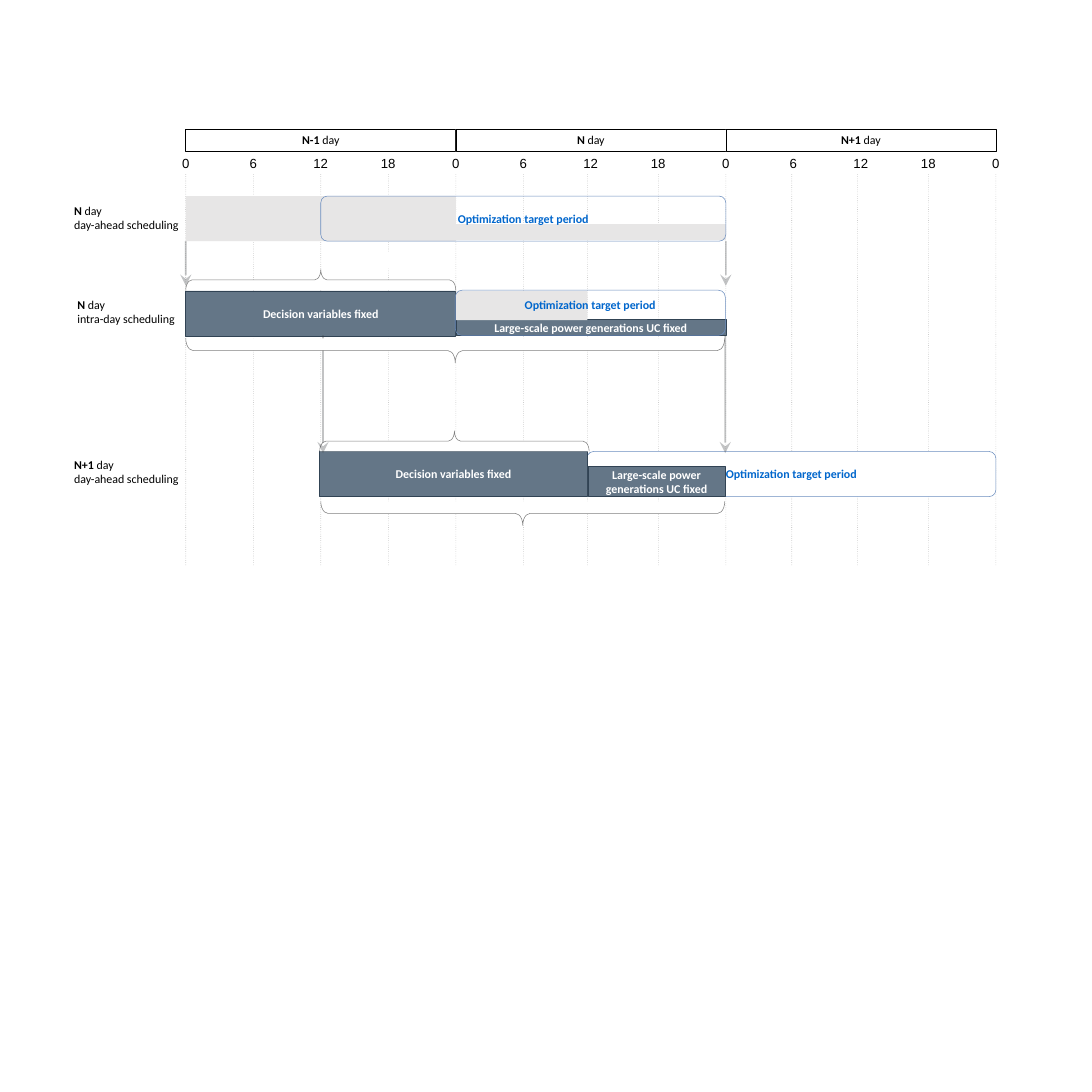
from collections import namedtuple

from lxml.etree import SubElement
from pptx import Presentation
from pptx.dml.color import RGBColor
from pptx.enum.shapes import MSO_CONNECTOR, MSO_SHAPE
from pptx.enum.text import MSO_ANCHOR, PP_ALIGN
from pptx.oxml.ns import qn
from pptx.util import Cm, Pt

Box = namedtuple("Box", "left top width height")

BLACK, WHITE, GREY = "000000", "FFFFFF", "E7E6E6"
SLATE, SLATE_EDGE = "647687", "314354"
BLUE_EDGE, BLUE_TEXT, ARROW = "6C8EBF", "0066CC", "36393D"
TARGET = "Optimization target period"
FIXED = "Decision variables fixed"
UNITS_FIXED = "Large-scale power generations UC fixed"
LABEL_LEFT = 2.0
HOURS = 72
# A few hour lines stand slightly left of the even scale
LINE_SHIFT = {36: -0.11, 54: -0.05, 60: -0.1}


def color(value):
    return RGBColor.from_string(value)


def hour_x(box, hour):
    return box.left + box.width * hour / HOURS


def hour_box(box, start, end, top, height):
    left = hour_x(box, start)
    return Box(left, box.top + top, hour_x(box, end) - left, height)


def lengths(box):
    return [Cm(value) for value in box]


def style_line(shape, line_color, width=0.48, opacity=100):
    shape.line.color.rgb = color(line_color)
    shape.line.width = Pt(width)
    line = shape._element.spPr.find(qn("a:ln"))
    if opacity < 100:
        SubElement(line.find(".//" + qn("a:srgbClr")), qn("a:alpha"),
                   val=str(opacity * 1000))
    return line


def add_run(paragraph, text, text_color, bold=False, font="Calibri", size=10.5):
    run = paragraph.add_run()
    run.text = text
    run.font.name = font
    run.font.size = Pt(size)
    run.font.bold = bold
    run.font.color.rgb = color(text_color)


def add_block(slide, box, fill=None, edge=None, kind=MSO_SHAPE.RECTANGLE):
    shape = slide.shapes.add_shape(kind, *lengths(box))
    shape.shadow.inherit = False
    if fill:
        shape.fill.solid()
        shape.fill.fore_color.rgb = color(fill)
    else:
        shape.fill.background()
    if edge:
        style_line(shape, edge)
    else:
        shape.line.fill.background()
    return shape


def center_text(shape, runs, text_color, bottom=0):
    frame = shape.text_frame
    frame.word_wrap = True
    frame.vertical_anchor = MSO_ANCHOR.MIDDLE
    frame.margin_top = 0
    frame.margin_bottom = Cm(bottom)
    paragraph = frame.paragraphs[0]
    paragraph.alignment = PP_ALIGN.CENTER
    for text, bold in runs:
        add_run(paragraph, text, text_color, bold)


def add_fixed_bar(slide, box, text):
    center_text(add_block(slide, box, SLATE, SLATE_EDGE), [(text, True)], WHITE)


def add_target(slide, box, fill=None, bottom=0):
    shape = add_block(slide, box, fill, BLUE_EDGE, MSO_SHAPE.ROUNDED_RECTANGLE)
    shape.adjustments[0] = 0.15
    center_text(shape, [(TARGET, True)], BLUE_TEXT, bottom)


def add_brace(slide, box, rotation):
    # A left brace turned on its side so that it spans the box
    left = box.left + (box.width - box.height) / 2
    top = box.top + (box.height - box.width) / 2
    upright = Box(left, top, box.height, box.width)
    brace = add_block(slide, upright, WHITE, BLACK, MSO_SHAPE.LEFT_BRACE)
    style_line(brace, BLACK, opacity=50)
    brace.adjustments[0] = 0.3
    brace.rotation = rotation


def add_vertical(slide, x, top, bottom):
    connector = slide.shapes.add_connector(
        MSO_CONNECTOR.STRAIGHT, Cm(x), Cm(top), Cm(x), Cm(bottom))
    SubElement(connector._element.spPr, qn("a:effectLst"))
    return connector


def add_arrow(slide, x, top, bottom):
    arrow = add_vertical(slide, x, top, bottom)
    line = style_line(arrow, ARROW, 1.45, 30)
    SubElement(line, qn("a:tailEnd"), type="stealth", w="lg", len="lg")


def add_hour_line(slide, x, top, bottom):
    line = style_line(add_vertical(slide, x, top, bottom), BLACK, opacity=30)
    dash = SubElement(line, qn("a:custDash"))
    SubElement(dash, qn("a:ds"), d="100000", sp="300000")


def add_hour_label(slide, x, top, text):
    width = 0.81 if len(text) == 1 else 1.04
    label = add_block(slide, Box(x - width / 2, top, width, 0.78), WHITE)
    frame = label.text_frame
    frame.word_wrap = False
    frame.vertical_anchor = MSO_ANCHOR.TOP
    frame.margin_left = frame.margin_right = Cm(0.3)
    frame.margin_top = frame.margin_bottom = Cm(0.15)
    frame.paragraphs[0].alignment = PP_ALIGN.CENTER
    add_run(frame.paragraphs[0], text, BLACK, font="Arial", size=11.6)


def add_row_label(slide, box, day, schedule):
    label = slide.shapes.add_textbox(*lengths(box))
    frame = label.text_frame
    frame.word_wrap = True
    frame.margin_left = frame.margin_right = Cm(0.3)
    frame.margin_top = frame.margin_bottom = Cm(0.15)
    add_run(frame.paragraphs[0], day + " ", BLACK, True)
    add_run(frame.paragraphs[0], "day", BLACK)
    add_run(frame.add_paragraph(), schedule, BLACK)
    for paragraph in frame.paragraphs:
        paragraph.alignment = PP_ALIGN.JUSTIFY


def add_timeline(slide, box):
    # Hour labels, then dotted lines
    hours = range(0, HOURS + 1, 6)
    for hour in hours:
        add_hour_label(slide, hour_x(box, hour), box.top + 0.66, str(hour % 24))
    for hour in hours:
        add_hour_line(slide, hour_x(box, hour) + LINE_SHIFT.get(hour, 0),
                      box.top + 1.4, box.top + box.height)
    # Day headers
    for index, day in enumerate(("N-1", "N", "N+1")):
        header = add_block(slide, hour_box(box, index * 24, index * 24 + 24, 0, 0.7),
                           WHITE, BLACK)
        center_text(header, [(day, True), (" day", False)], BLACK, 0.04)
    # Break in the 18 o'clock line
    add_block(slide, hour_box(box, 15.75, 20.4, 3.83, 0.5), WHITE)


def add_next_day_ahead(slide, box):
    add_target(slide, hour_box(box, 35.65, 72, 0, box.height), WHITE)
    add_fixed_bar(slide, hour_box(box, 11.9, 35.7, 0, box.height), FIXED)
    add_brace(slide, hour_box(box, 11.9, 35.85, -0.64, 0.64), 90)
    add_fixed_bar(slide, hour_box(box, 35.75, 47.95, 0.46, 0.94), UNITS_FIXED)
    add_brace(slide, hour_box(box, 12, 47.9, 1.55, 0.74), 270)
    add_row_label(slide, Box(LABEL_LEFT, box.top + 0.04, 4.3, 1.2),
                  "N+1", "day-ahead scheduling")


def add_intra_day(slide, box, arrow_end):
    add_fixed_bar(slide, hour_box(box, 0, 24, 0.02, box.height), FIXED)
    add_brace(slide, hour_box(box, 0, 24, -0.64, 0.64), 90)
    for hour in (12.2, 47.95):
        add_arrow(slide, hour_x(box, hour), box.top + box.height, arrow_end)
    add_brace(slide, hour_box(box, 0, 47.9, 1.49, 0.76), 270)
    add_fixed_bar(slide, hour_box(box, 24, 48, 0.91, 0.5), UNITS_FIXED)
    add_block(slide, hour_box(box, 24, 35.7, 0.02, 0.91), GREY)
    add_target(slide, hour_box(box, 23.95, 47.95, 0, box.height), bottom=0.48)
    add_row_label(slide, Box(LABEL_LEFT + 0.1, box.top + 0.07, 4.3, 1.2),
                  "N", "intra-day scheduling")


def add_day_ahead(slide, box, arrow_end):
    for hour in (0, 48):
        add_arrow(slide, hour_x(box, hour), box.top + box.height, arrow_end)
    add_block(slide, hour_box(box, 0, 24, 0, box.height), GREY)
    add_block(slide, hour_box(box, 24, 48, 0.87, 0.5), GREY)
    add_target(slide, hour_box(box, 12, 48, 0, box.height))
    add_row_label(slide, Box(LABEL_LEFT, box.top + 0.08, 4.3, 1.2),
                  "N", "day-ahead scheduling")


def main():
    presentation = Presentation()
    presentation.slide_width = presentation.slide_height = Cm(33.86)
    slide = presentation.slides.add_slide(presentation.slide_layouts[6])
    timeline = Box(5.76, 4.0, 25.12, 13.55)
    day_ahead, intra_day, next_day = [
        timeline._replace(top=top, height=1.4) for top in (6.08, 9.0, 14.0)]
    add_timeline(slide, timeline)
    # Rows from bottom to top, so arrows lie over the row they reach
    add_next_day_ahead(slide, next_day)
    add_intra_day(slide, intra_day, next_day.top + 0.05)
    add_day_ahead(slide, day_ahead, intra_day.top - 0.14)
    presentation.save("out.pptx")


if __name__ == "__main__":
    main()
